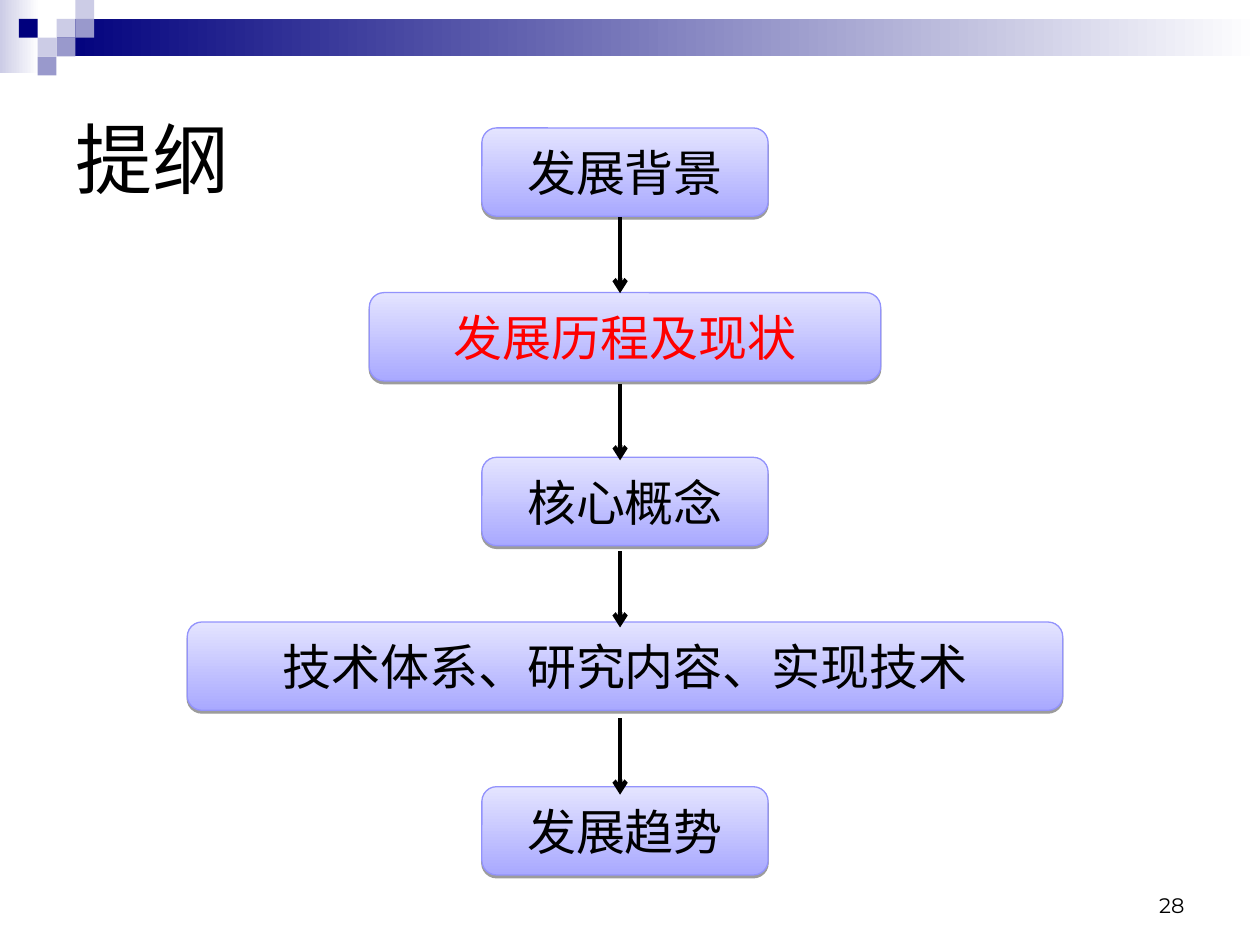
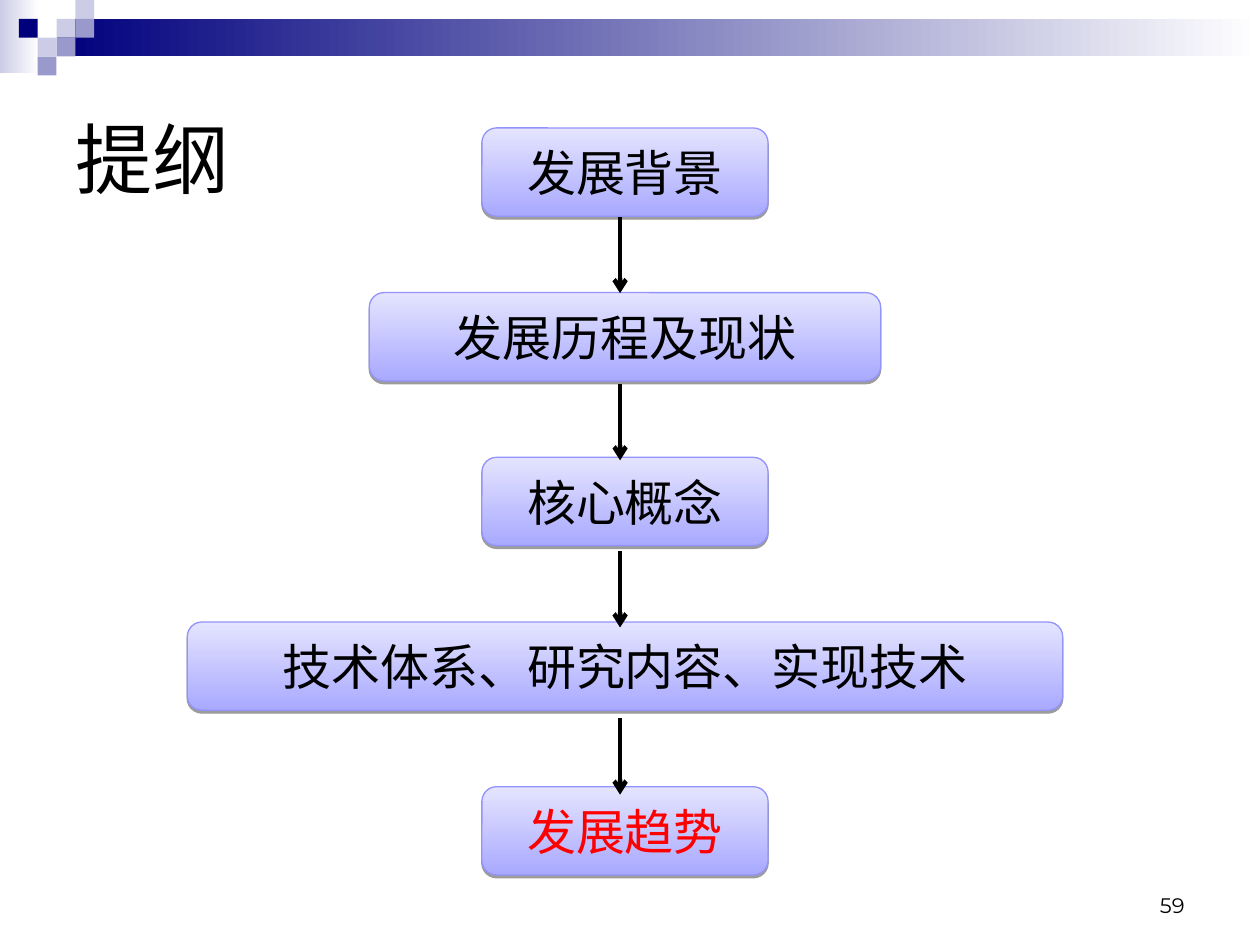
from lxml import etree
from pptx import Presentation
from pptx.dml.color import RGBColor
from pptx.enum import shapes, text
from pptx.oxml.ns import qn
from pptx.util import Cm, Pt

TITLE = "提纲"
STEPS = [  # label, box width in cm
    ("发展背景", 5.77),
    ("发展历程及现状", 10.31),
    ("核心概念", 5.77),
    ("技术体系、研究内容、实现技术", 17.65),
    ("发展趋势", 5.77),
]
SLIDES = [  # page number, index of the highlighted step
    ("28", 1),
    ("59", 4),
]

BLACK = RGBColor(0x00, 0x00, 0x00)
WHITE = RGBColor(0xFF, 0xFF, 0xFF)
RED = RGBColor(0xFF, 0x00, 0x00)
NAVY = RGBColor(0x00, 0x00, 0x7D)
PALE = RGBColor(0xCC, 0xCC, 0xE6)
MID = RGBColor(0x99, 0x99, 0xCC)
BOX_LOW = RGBColor(0xA9, 0xA9, 0xFF)
BOX_HIGH = RGBColor(0xE4, 0xE4, 0xFF)
BOX_EDGE = RGBColor(0x93, 0x93, 0xFC)

BANDS = [  # left, top, width, height in cm, start colour
    (0, 0, 0.79, 1.47, PALE),
    (1.14, 0.38, 24.26, 0.76, NAVY),
]
CELL = 0.38
MOSAIC = [  # column, row, colour
    (3, 1, PALE), (4, 0, PALE), (4, 1, MID), (2, 2, PALE),
    (1, 1, NAVY), (3, 2, MID), (2, 3, MID),
]

BOX_CENTRE, BOX_TOP, BOX_PITCH, BOX_HEIGHT = 12.6, 2.58, 3.32, 1.78
ARROW_X, ARROW_TOP, ARROW_PITCH, ARROW_LENGTH = 12.5, 4.37, 3.37, 1.54

TITLE_FONT = dict(size=Pt(44), name="Arial")
STEP_FONT = dict(size=Pt(28), name="Arial")
PAGE_FONT = dict(size=Pt(12), name="Montserrat")


def add_box(parent, kind, left, top, width, height):
    sp = parent.add_shape(kind, Cm(left), Cm(top), Cm(width), Cm(height))
    sp.shadow.inherit = False
    return sp


def fill_gradient(sp, start, end, angle):
    sp.fill.gradient()
    sp.fill.gradient_angle = angle
    for stop, colour in zip(sp.fill.gradient_stops, (start, end)):
        stop.color.rgb = colour


def write(sp, words, font, colour=BLACK, align=text.PP_ALIGN.LEFT,
          anchor=text.MSO_ANCHOR.MIDDLE):
    tf = sp.text_frame
    tf.word_wrap = True
    tf.vertical_anchor = anchor
    p = tf.paragraphs[0]
    p.alignment = align
    r = p.add_run()
    r.text = words
    for key, value in font.items():
        setattr(r.font, key, value)
    r.font.color.rgb = colour


def add_text(s, left, top, width, height, *args, **kwargs):
    sp = s.shapes.add_textbox(Cm(left), Cm(top), Cm(width), Cm(height))
    write(sp, *args, **kwargs)


def add_header(s):
    """Draw the fading bands and the mosaic of squares at the top left."""
    group = s.shapes.add_group_shape().shapes
    rect = shapes.MSO_SHAPE.RECTANGLE
    for *place, colour in BANDS:
        sp = add_box(group, rect, *place)
        fill_gradient(sp, colour, WHITE, 0)
        sp.line.fill.background()
    for col, row, colour in MOSAIC:
        sp = add_box(group, rect, col * CELL, row * CELL, CELL, CELL)
        sp.fill.solid()
        sp.fill.fore_color.rgb = colour
        sp.line.fill.background()


def drop_shadow(sp):
    effects = sp._element.spPr.find(qn("a:effectLst"))
    shadow = etree.SubElement(effects, qn("a:outerShdw"), blurRad="0",
                              dist=str(Pt(1.6)), dir="5400000", rotWithShape="0")
    colour = etree.SubElement(shadow, qn("a:srgbClr"), val=str(BLACK))
    etree.SubElement(colour, qn("a:alpha"), val="38000")


def add_step(s, row, label, width, colour):
    sp = add_box(s.shapes, shapes.MSO_SHAPE.ROUNDED_RECTANGLE,
                 BOX_CENTRE - width / 2, BOX_TOP + row * BOX_PITCH, width, BOX_HEIGHT)
    fill_gradient(sp, BOX_LOW, BOX_HIGH, 90)
    sp.line.color.rgb = BOX_EDGE
    sp.line.width = Pt(0.75)
    drop_shadow(sp)
    write(sp, label, STEP_FONT, colour, text.PP_ALIGN.CENTER)


def add_arrow(s, row):
    top = ARROW_TOP + row * ARROW_PITCH
    line = s.shapes.add_connector(shapes.MSO_CONNECTOR.STRAIGHT, Cm(ARROW_X), Cm(top),
                                  Cm(ARROW_X), Cm(top + ARROW_LENGTH))
    line.line.color.rgb = BLACK
    line.line.width = Pt(2.5)
    etree.SubElement(line.line._get_or_add_ln(), qn("a:tailEnd"), type="arrow")
    etree.SubElement(line._element.spPr, qn("a:effectLst"))


def add_outline(prs, page, current):
    s = prs.slides.add_slide(prs.slide_layouts[6])
    add_header(s)
    add_text(s, 1.27, 1.27, 22.86, 3.81, TITLE, TITLE_FONT)
    for row, (label, width) in enumerate(STEPS):
        add_step(s, row, label, width, RED if row == current else BLACK)
    for row in range(len(STEPS) - 1):
        add_arrow(s, row)
    add_text(s, 18.2, 17.35, 5.93, 1.27, page, PAGE_FONT,
             align=text.PP_ALIGN.RIGHT, anchor=text.MSO_ANCHOR.BOTTOM)


def main():
    prs = Presentation()
    prs.slide_width, prs.slide_height = Cm(25.4), Cm(19.05)
    for page, current in SLIDES:
        add_outline(prs, page, current)
    prs.save("out.pptx")


if __name__ == "__main__":
    main()
